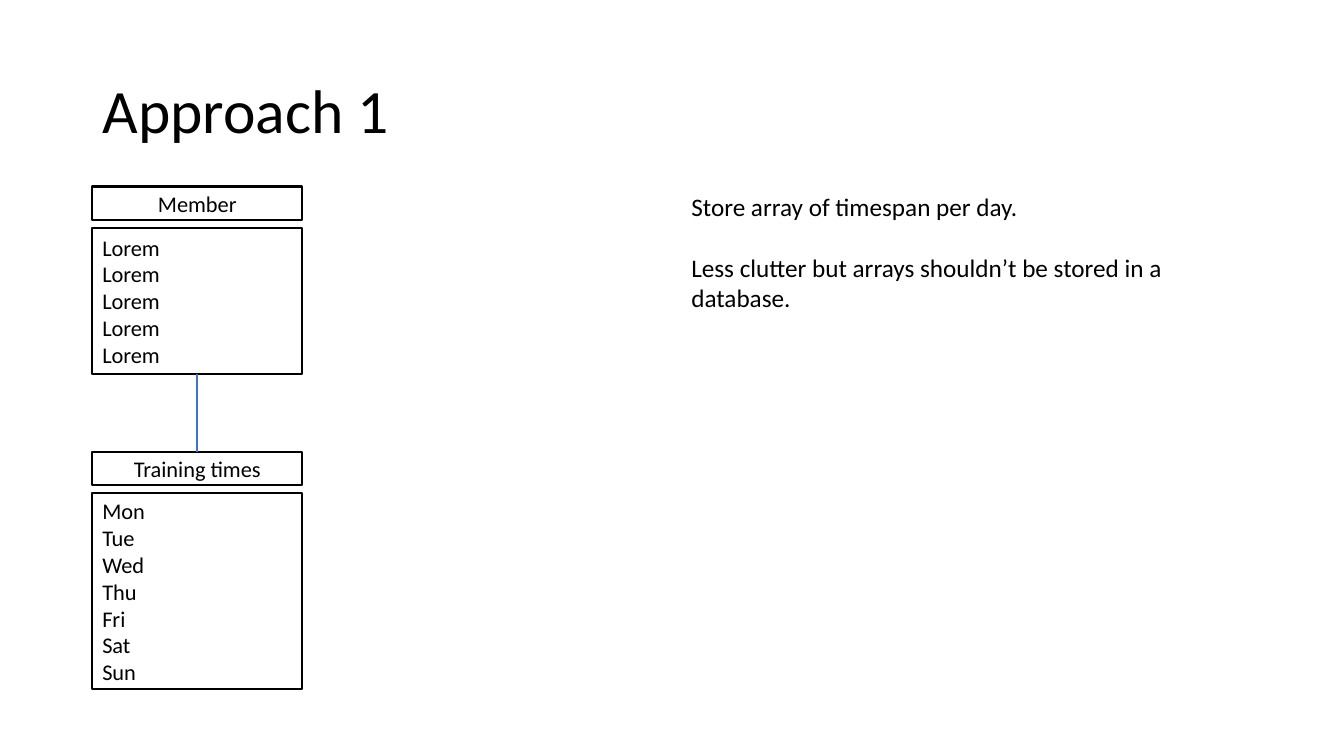
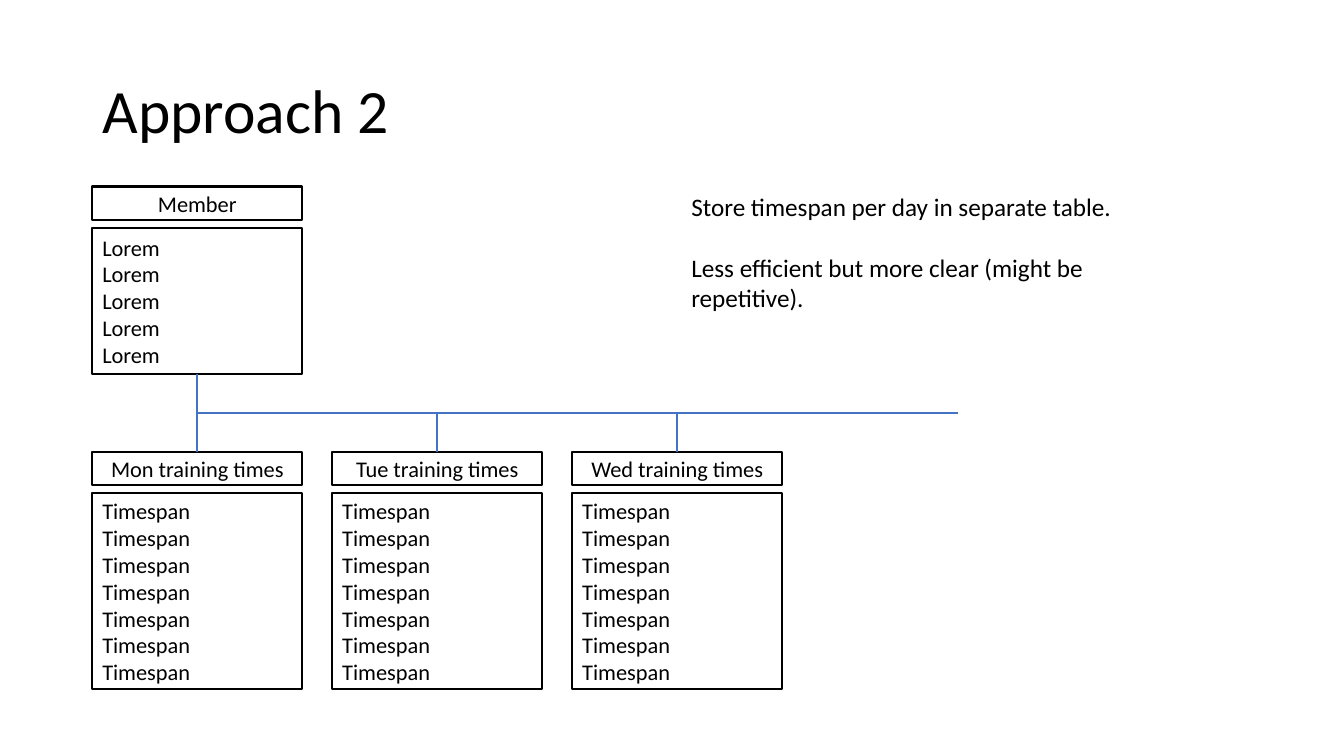
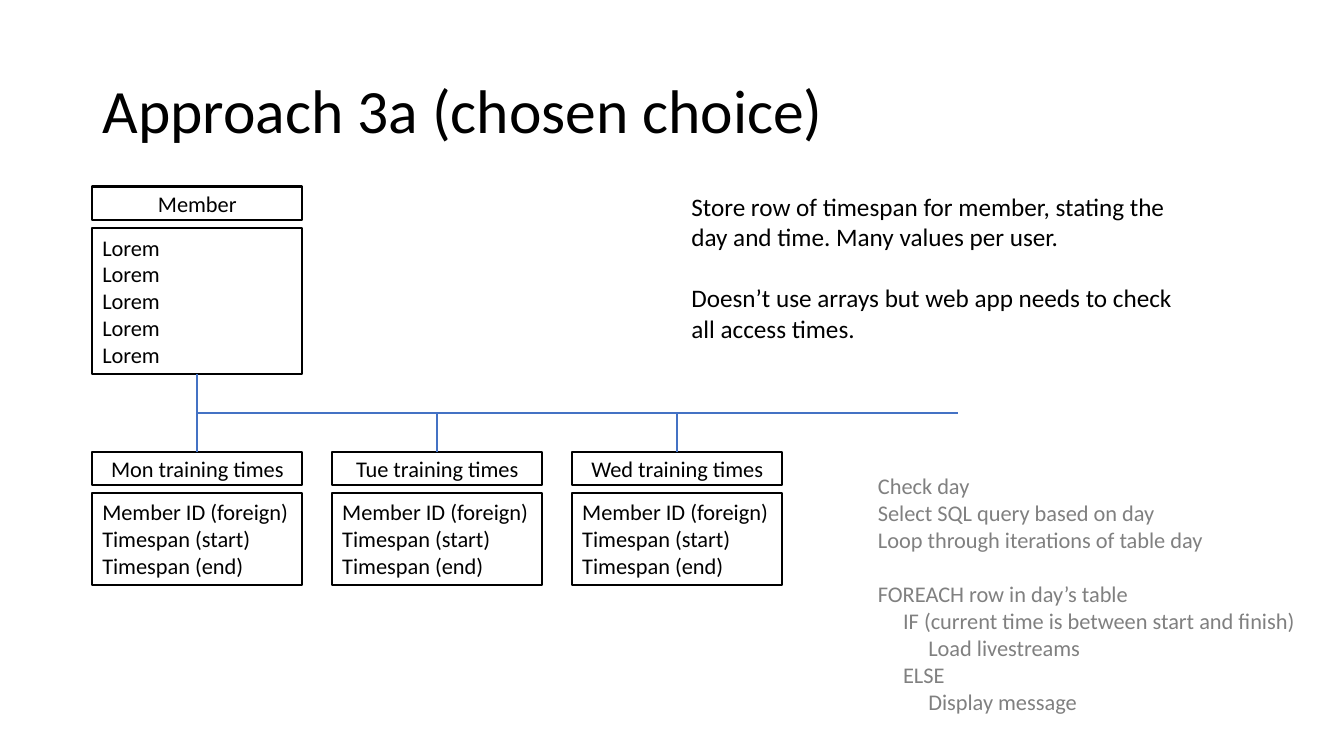
import pptx
import pptx.util
import pptx.dml.color
import pptx.enum.shapes
import pptx.enum.text
import pptx.oxml

Pt = pptx.util.Pt
RGBColor = pptx.dml.color.RGBColor
ALIGN = pptx.enum.text.PP_ALIGN
ANCHOR = pptx.enum.text.MSO_ANCHOR
AUTO_SIZE = pptx.enum.text.MSO_AUTO_SIZE

# Content: lines are (text, indent level, starts a new block)
MEMBER = ("Member", ["Lorem"] * 5)
DAY_TABLES = ["Mon training times", "Tue training times", "Wed training times"]
SPAN_FIELDS = ["Member ID (foreign)", "Timespan (start)", "Timespan (end)"]
APPROACHES = [
    {
        "title": "Approach 1",
        "tables": [("Training times",
                    ["Mon", "Tue", "Wed", "Thu", "Fri", "Sat", "Sun"])],
        "table_height": 140.4,
        "notes": [("Store array of timespan per day.", 0, False),
                  ("Less clutter but arrays shouldn’t be stored in a database.", 0, True)],
        "notes_height": 94.4,
    },
    {
        "title": "Approach 2",
        "tables": [(name, ["Timespan"] * 7) for name in DAY_TABLES],
        "table_height": 140.4,
        "notes": [("Store timespan per day in separate table.", 0, False),
                  ("Less efficient but more clear (might be repetitive).", 0, True)],
        "notes_height": 94.4,
    },
    {
        "title": "Approach 3a (chosen choice)",
        "tables": [(name, SPAN_FIELDS) for name in DAY_TABLES],
        "table_height": 65.5,
        "notes": [("Store row of timespan for member, stating the day and time. "
                   "Many values per user.", 0, False),
                  ("Doesn’t use arrays but web app needs to check all access times.",
                   0, True)],
        "notes_height": 116.6,
        "pseudocode": [
            ("Check day", 0, False),
            ("Select SQL query based on day", 0, False),
            ("Loop through iterations of table day", 0, False),
            ("FOREACH row in day’s table", 0, True),
            ("IF (current time is between start and finish)", 1, False),
            ("Load livestreams", 2, False),
            ("ELSE", 1, False),
            ("Display message", 2, False),
        ],
    },
]

# Shared style and layout, in points
FONT = "Calibri"
BLACK = RGBColor(0x00, 0x00, 0x00)
WHITE = RGBColor(0xFF, 0xFF, 0xFF)
GRAY = RGBColor(0x80, 0x80, 0x80)
BLUE = RGBColor(0x44, 0x72, 0xC4)
LINE_WIDTH = 1.5
LINE_FACTOR = 1.22
INDENT = 18

LEFT = 66
TABLE_WIDTH = 150
TABLE_PITCH = 171.4
HEADER_HEIGHT = 24
BODY_OFFSET = 29.5
MEMBER_TOP = 133.2
MEMBER_BODY_HEIGHT = 104.4
TABLES_TOP = 322.6
MEMBER_BOTTOM = MEMBER_TOP + BODY_OFFSET + MEMBER_BODY_HEIGHT
BUS_TOP = (MEMBER_BOTTOM + TABLES_TOP) / 2
BUS_RIGHT = 684
NOTES_LEFT = 486.7
TEXT_WIDTH = 368.6


def points(*lengths):
    return [Pt(length) for length in lengths]


def add_run(paragraph, text, size, color):
    run = paragraph.add_run()
    run.text = text
    run.font.name = FONT
    run.font.size = Pt(size)
    run.font.color.rgb = color


def write_lines(frame, lines, size, color, align=ALIGN.LEFT):
    frame.word_wrap = True
    for index, (text, level, new_block) in enumerate(lines):
        paragraph = frame.add_paragraph() if index else frame.paragraphs[0]
        paragraph.alignment = align
        if new_block:
            paragraph.space_before = Pt(round(size * LINE_FACTOR, 1))
        if level:
            paragraph._p.get_or_add_pPr().set("marL", str(Pt(level * INDENT)))
        add_run(paragraph, text, size, color)


def add_title(slide, text):
    title = slide.shapes.title
    title.left, title.top, title.width, title.height = points(66, 28.8, 828, 104.4)
    frame = title.text_frame
    frame.auto_size = AUTO_SIZE.NONE
    frame.vertical_anchor = ANCHOR.MIDDLE
    write_lines(frame, [(text, 0, False)], 44, BLACK)
    frame.paragraphs[0].line_spacing = 0.9


def add_box(shapes, left, top, height, lines, align):
    box = shapes.add_shape(pptx.enum.shapes.MSO_SHAPE.RECTANGLE,
                           *points(left, top, TABLE_WIDTH, height))
    box.shadow.inherit = False
    box.fill.solid()
    box.fill.fore_color.rgb = WHITE
    box.line.color.rgb = BLACK
    box.line.width = Pt(LINE_WIDTH)
    box.text_frame.vertical_anchor = ANCHOR.MIDDLE
    write_lines(box.text_frame, [(line, 0, False) for line in lines], 16, BLACK, align)


def add_entity(slide, left, top, body_height, entity):
    name, fields = entity
    group = slide.shapes.add_group_shape()
    add_box(group.shapes, left, top, HEADER_HEIGHT, [name], ALIGN.CENTER)
    add_box(group.shapes, left, top + BODY_OFFSET, body_height, fields, ALIGN.LEFT)


def add_line(slide, *ends):
    line = slide.shapes.add_connector(pptx.enum.shapes.MSO_CONNECTOR.STRAIGHT,
                                      *points(*ends))
    line.line.color.rgb = BLUE
    line.line.width = Pt(LINE_WIDTH)
    line._element.spPr.append(pptx.oxml.parse_xml(
        '<a:effectLst xmlns:a="http://schemas.openxmlformats.org/drawingml/2006/main"/>'))


def add_text(slide, left, top, height, lines, size, color):
    box = slide.shapes.add_textbox(*points(left, top, TEXT_WIDTH, height))
    box.text_frame.auto_size = AUTO_SIZE.SHAPE_TO_FIT_TEXT
    write_lines(box.text_frame, lines, size, color)


presentation = pptx.Presentation()
presentation.slide_width, presentation.slide_height = points(960, 540)
title_only = presentation.slide_layouts[5]

for approach in APPROACHES:
    slide = presentation.slides.add_slide(title_only)
    add_title(slide, approach["title"])

    # Member above, its time tables in a row below
    add_entity(slide, LEFT, MEMBER_TOP, MEMBER_BODY_HEIGHT, MEMBER)
    tables = approach["tables"]
    lefts = [LEFT + index * TABLE_PITCH for index in range(len(tables))]
    for left, table in zip(lefts, tables):
        add_entity(slide, left, TABLES_TOP, approach["table_height"], table)

    # Trunk from the member, with a branch to each further table
    trunk, *branches = [left + TABLE_WIDTH / 2 for left in lefts]
    add_line(slide, trunk, MEMBER_BOTTOM, trunk, TABLES_TOP)
    for branch in branches:
        add_line(slide, branch, BUS_TOP, branch, TABLES_TOP)
    if branches:
        add_line(slide, trunk, BUS_TOP, BUS_RIGHT, BUS_TOP)

    # Remarks
    add_text(slide, NOTES_LEFT, MEMBER_TOP, approach["notes_height"],
             approach["notes"], 18, BLACK)
    if "pseudocode" in approach:
        add_text(slide, 620, 334, 184.3, approach["pseudocode"], 16, GRAY)

presentation.save("out.pptx")
